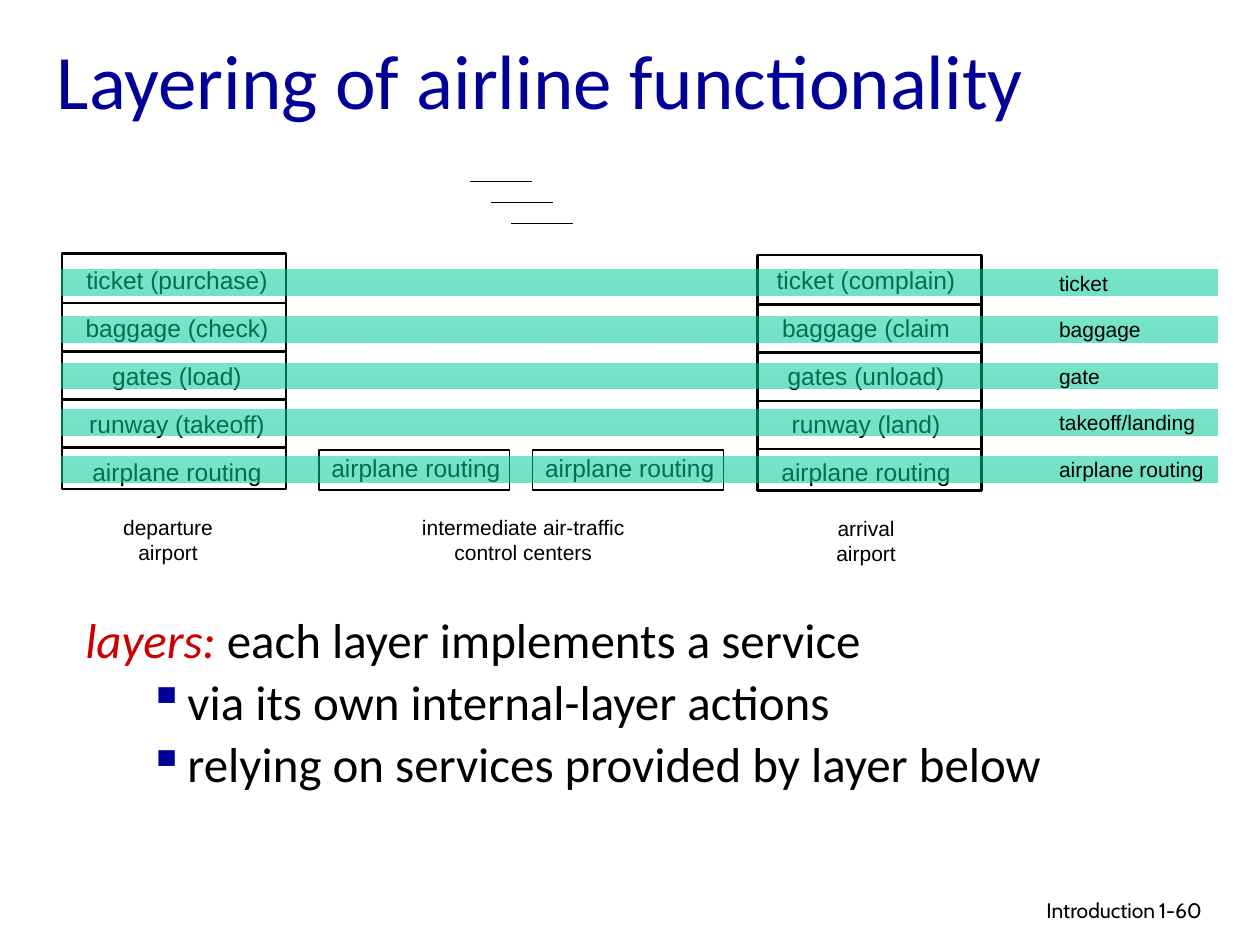
import pptx
import pptx.util
import pptx.dml.color
import pptx.enum.shapes
import pptx.enum.text
import pptx.oxml
import pptx.oxml.ns

Cm, Pt = pptx.util.Cm, pptx.util.Pt
Align = pptx.enum.text.PP_ALIGN
Anchor = pptx.enum.text.MSO_ANCHOR
Kind = pptx.enum.shapes.MSO_SHAPE
Wire = pptx.enum.shapes.MSO_CONNECTOR.STRAIGHT

THEME = {
    "ink": "000000", "paper": "FFFFFF", "blue": "000099",
    "red": "CC0000", "green": "00CC99", "alpha": (53, 56),
    "sans": "Arial", "head": "Calibri", "foot": "Cabin",
    "title": 44, "body": 28, "step": 14, "note": 12,
    "thick": 1.5, "thin": 0.75,
}

TITLE = "Layering of airline functionality"
LAYERS = ["ticket", "baggage", "gate", "takeoff/landing", "airplane routing"]
# box left, box top, text left, steps
STACKS = [
    (1.25, 5.11, 1.22, ["ticket (purchase)", "baggage (check)", "gates (load)",
                        "runway (takeoff)", "airplane routing"]),
    (15.27, 5.14, 15.11, ["ticket (complain)", "baggage (claim", "gates (unload)",
                          "runway (land)", "airplane routing"]),
]
CENTERS = [(6.43, "airplane routing"), (10.74, "airplane routing")]
# middle, top, lines
PLACES = [
    (3.39, 10.24, ["departure", "airport"]),
    (10.55, 10.24, ["intermediate air-traffic", "control centers"]),
    (17.46, 10.26, ["arrival", "airport"]),
]
LEAD = [("layers: ", "red", True), ("each layer implements a service", "ink", False)]
POINTS = ["via its own internal-layer actions",
          "relying on services provided by layer below"]
# left, width, alignment, text
FOOTER = [(15.49, 8.05, Align.RIGHT, "Introduction"),
          (23.11, 1.88, Align.LEFT, "1-60")]


def tint(name):
    return pptx.dml.color.RGBColor.from_string(THEME[name])


def write(para, text, size, face="sans", color="ink", slant=False):
    run = para.add_run()
    run.text = text
    font = run.font
    font.size, font.name, font.italic = Pt(THEME[size]), THEME[face], slant
    font.color.rgb = tint(color)


def paras(frame, count):
    return [frame.paragraphs[0]] + [frame.add_paragraph() for _ in range(count - 1)]


def text_box(slide, x, y, w, h, lines, size, face="sans", align=Align.LEFT,
             tight=1.0, gap=0, anchor=Anchor.TOP):
    frame = slide.shapes.add_textbox(Cm(x), Cm(y), Cm(w), Cm(h)).text_frame
    frame.word_wrap, frame.vertical_anchor = True, anchor
    for i, (para, line) in enumerate(zip(paras(frame, len(lines)), lines)):
        para.alignment, para.line_spacing = align, tight
        para.space_before = Pt(gap if i else 0)
        write(para, line, size, face)


def box(slide, x, y, w, h, edge):
    shape = slide.shapes.add_shape(Kind.RECTANGLE, Cm(x), Cm(y), Cm(w), Cm(h))
    shape.shadow.inherit = False
    shape.fill.solid()
    shape.fill.fore_color.rgb = tint("paper")
    shape.line.color.rgb = tint("ink")
    shape.line.width = Pt(THEME[edge])
    return shape


def rule(slide, x, y, w, edge):
    line = slide.shapes.add_connector(Wire, Cm(x), Cm(y), Cm(x + w), Cm(y))
    line.line.color.rgb = tint("ink")
    line.line.width = Pt(THEME[edge])
    pptx.oxml.ns.qn("a:effectLst")
    line._element.spPr.append(pptx.oxml.parse_xml(
        "<a:effectLst %s/>" % pptx.oxml.ns.nsdecls("a")))


def band(slide, x, y, w, h):
    """Draw a see-through strip across one layer."""
    shape = box(slide, x, y, w, h, "thin")
    shape.line.fill.background()
    shape.fill.gradient()
    shape.fill.gradient_angle = 270
    for stop in shape.fill.gradient_stops:
        stop.color.rgb = tint("green")
    tones = shape._element.spPr.iter(pptx.oxml.ns.qn("a:srgbClr"))
    for tone, part in zip(tones, THEME["alpha"]):
        tone.append(pptx.oxml.parse_xml('<a:alpha %s val="%d"/>' % (
            pptx.oxml.ns.nsdecls("a"), part * 1000)))


def bullet(para):
    props = para._p.get_or_add_pPr()
    props.set("marL", str(Cm(2.06)))
    props.set("indent", str(Cm(-0.79)))
    space = pptx.oxml.ns.nsdecls("a")
    for xml in ('<a:buClr %s><a:srgbClr val="' + THEME["blue"] + '"/></a:buClr>',
                '<a:buChar %s char="▪"/>'):
        props.append(pptx.oxml.parse_xml(xml % space))


def head(slide):
    title = slide.shapes.title
    title.left, title.top, title.width, title.height = Cm(0.89), Cm(0), Cm(21.59), Cm(3.18)
    frame = title.text_frame
    frame.vertical_anchor, frame.word_wrap = Anchor.MIDDLE, True
    para = frame.paragraphs[0]
    para.alignment = Align.LEFT
    write(para, TITLE, "title", "head", "blue")


def stack(slide, x, y, left, steps):
    box(slide, x, y, 4.52, 4.75, "thick")
    text_box(slide, left, 5.33, 4.7, 4.52, steps, "step",
             align=Align.CENTER, tight=0.8, gap=14)
    for i in range(len(steps) - 1):
        rule(slide, x + 0.02, y + 1 + 0.97 * i, 4.5, "thick")


def center(slide, x, text):
    frame = box(slide, x, 9.07, 3.84, 0.81, "thin").text_frame
    frame.margin_right, frame.word_wrap = 0, True
    frame.vertical_anchor = Anchor.MIDDLE
    para = frame.paragraphs[0]
    para.alignment, para.line_spacing = Align.LEFT, 0.8
    write(para, text, "step")


def body(slide):
    frame = slide.shapes.add_textbox(Cm(1.47), Cm(12.34), Cm(21.16), Cm(4.9)).text_frame
    frame.word_wrap = True
    lead, *rest = paras(frame, 1 + len(POINTS))
    lead.line_spacing = 0.85
    for text, color, slant in LEAD:
        write(lead, text, "body", "head", color, slant)
    for para, text in zip(rest, POINTS):
        para.level, para.line_spacing, para.space_before = 1, 0.85, Pt(7)
        bullet(para)
        write(para, text, "body", "head")


def main():
    deck = pptx.Presentation()
    deck.slide_width, deck.slide_height = Cm(25.4), Cm(19.05)
    slide = deck.slides.add_slide(deck.slide_layouts[5])
    head(slide)
    for i in range(3):
        rule(slide, 9.47 + 0.42 * i, 3.66 + 0.42 * i, 1.25, "thin")
    for item in STACKS:
        stack(slide, *item)
    for item in CENTERS:
        center(slide, *item)
    for mid, y, lines in PLACES:
        text_box(slide, mid - 2.6, y, 5.2, 1.27, lines, "note", align=Align.CENTER)
    for i, layer in enumerate(LAYERS):
        y = 5.44 + 0.94 * i
        band(slide, 1.25, y, 23.3, 0.52)
        text_box(slide, 21.1, y - 0.12, 3.7, 0.76, [layer], "note", anchor=Anchor.MIDDLE)
    body(slide)
    for x, w, align, text in FOOTER:
        text_box(slide, x, 17.96, w, 0.77, [text], "note", "foot", align)
    deck.save("out.pptx")


if __name__ == "__main__":
    main()
